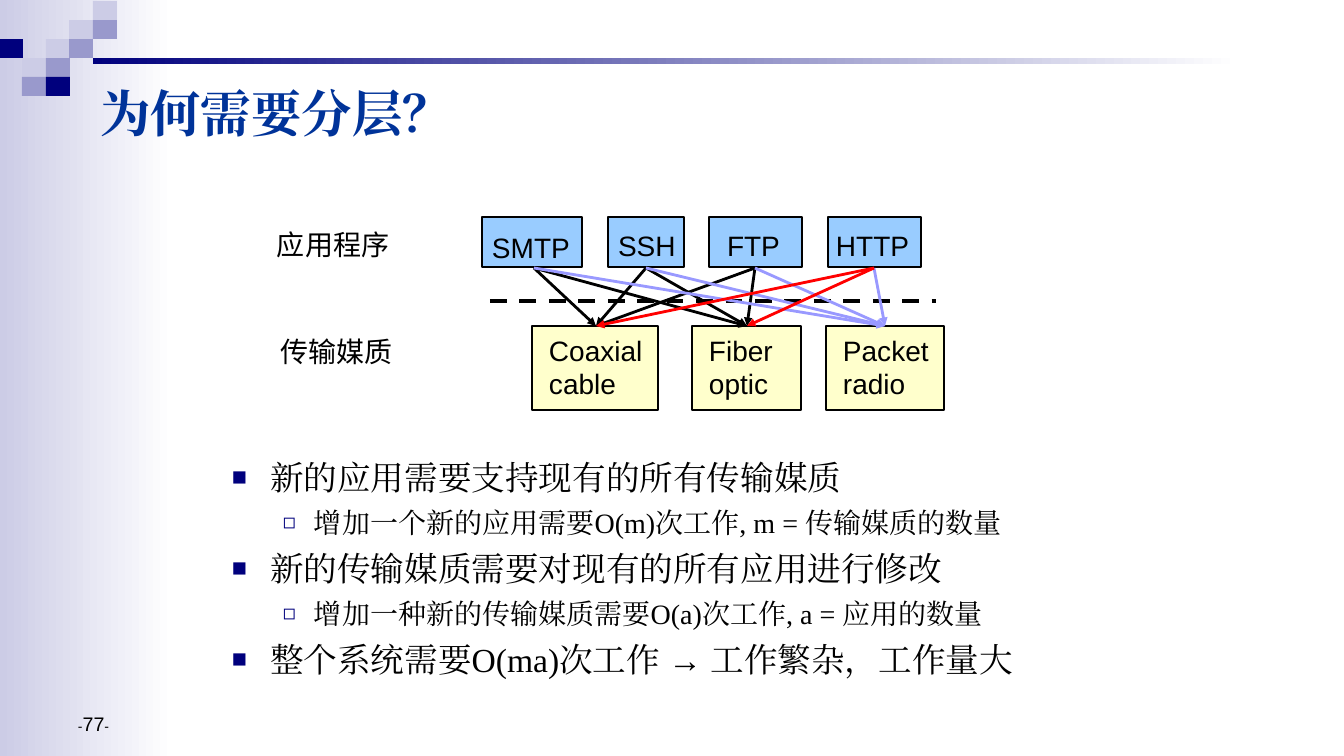
import pptx
import pptx.dml.color
import pptx.enum.dml
import pptx.enum.lang
import pptx.enum.shapes
import pptx.enum.text
import pptx.oxml.ns
import pptx.oxml.xmlchemy
import pptx.util
from lxml import etree

RGBColor = pptx.dml.color.RGBColor
BLACK = RGBColor(0x00, 0x00, 0x00)
WHITE = RGBColor(0xFF, 0xFF, 0xFF)
NAVY = RGBColor(0x00, 0x00, 0x7D)
MID = RGBColor(0x99, 0x99, 0xCC)
PALE = RGBColor(0xCC, 0xCC, 0xE6)
TITLE_BLUE = RGBColor(0x00, 0x33, 0x99)
APP_BLUE = RGBColor(0x99, 0xCC, 0xFF)
MEDIUM_YELLOW = RGBColor(0xFF, 0xFF, 0xCC)
VIOLET = RGBColor(0x99, 0x99, 0xFF)
RED = RGBColor(0xFF, 0x00, 0x00)

SANS, SERIF, CJK = "Arial", "Times New Roman", "Noto Sans CJK SC"
PX_PER_INCH = 100.8


def px(length):
    return pptx.util.Emu(round(length * 914400 / PX_PER_INCH))


def add_xml(parent, tag, **attributes):
    return etree.SubElement(parent, pptx.oxml.ns.qn(tag), **attributes)


class LayerSlide:
    def __init__(self, slide):
        self.slide = slide
        self.shapes = slide.shapes

    def style(self, paragraph, size, face=SANS, color=BLACK, bold=False):
        font = paragraph.font
        font.color.rgb = color
        font.name = face
        font.bold = bold
        font.language_id = pptx.enum.lang.MSO_LANGUAGE_ID.SIMPLIFIED_CHINESE
        if size:
            font.size = pptx.util.Pt(size)
        properties = paragraph._p.pPr.find(pptx.oxml.ns.qn("a:defRPr"))
        add_xml(properties, "a:ea", typeface=face)

    def frame(self, shape, insets, anchor, wrap=True):
        """Set the insets (left, top, right, bottom), anchor and wrapping."""
        frame = shape.text_frame
        frame.margin_left, frame.margin_top, frame.margin_right, frame.margin_bottom = map(px, insets)
        frame.vertical_anchor = anchor
        frame.word_wrap = wrap
        return frame

    def rect(self, left, top, width, height, fill, fade=False, outline=False):
        """Add a rectangle; with fade, its fill runs to white at the right."""
        box = self.shapes.add_shape(
            pptx.enum.shapes.MSO_SHAPE.RECTANGLE, px(left), px(top), px(width), px(height))
        box.shadow.inherit = False
        if fade:
            box.fill.gradient()
            box.fill.gradient_angle = 0
            for stop, color in zip(box.fill.gradient_stops, (fill, WHITE)):
                stop.color.rgb = color
        else:
            box.fill.solid()
            box.fill.fore_color.rgb = fill
        if outline:
            box.line.color.rgb = BLACK
            box.line.width = pptx.util.Pt(1.5)
        else:
            box.line.fill.background()
        return box

    def node(self, left, top, width, height, fill, lines, inset_left, inset_top):
        box = self.rect(left, top, width, height, fill, outline=True)
        frame = self.frame(box, (inset_left, inset_top, 0, 0), pptx.enum.text.MSO_ANCHOR.TOP)
        frame.text = "\n".join(lines)
        for paragraph in frame.paragraphs:
            paragraph.alignment = pptx.enum.text.PP_ALIGN.LEFT
            self.style(paragraph, 20)

    def line(self, start, end, color, width, arrow=False, dashed=False):
        line = self.shapes.add_connector(
            pptx.enum.shapes.MSO_CONNECTOR.STRAIGHT, *map(px, (*start, *end)))
        line.line.color.rgb = color
        line.line.width = pptx.util.Pt(width)
        if dashed:
            line.line.dash_style = pptx.enum.dml.MSO_LINE.DASH
        if arrow:
            add_xml(line.line._get_or_add_ln(), "a:tailEnd", type="triangle")
        add_xml(line._element.spPr, "a:effectLst")

    def text_box(self, left, top, width, height, insets, anchor, wrap=True):
        box = self.shapes.add_textbox(px(left), px(top), px(width), px(height))
        return self.frame(box, insets, anchor, wrap)

    def label(self, left, top, text):
        frame = self.text_box(left, top, 133, 44, (10, 0, 10, 0),
                              pptx.enum.text.MSO_ANCHOR.TOP, wrap=False)
        frame.text = text
        self.style(frame.paragraphs[0], 20, CJK)

    def title(self, text):
        title = self.shapes.title
        title.left, title.top, title.width, title.height = map(px, (90, 76, 920, 72))
        frame = self.frame(title, (10, 5, 10, 5), pptx.enum.text.MSO_ANCHOR.MIDDLE)
        frame.text = text
        frame.paragraphs[0].alignment = pptx.enum.text.PP_ALIGN.LEFT
        self.style(frame.paragraphs[0], 36, SERIF, TITLE_BLUE, bold=True)
        # Bring the title in front of the decoration.
        title._element.getparent().append(title._element)

    def bullets(self, left, top, width, height, points):
        frame = self.text_box(left, top, width, height, (10, 7, 10, 5),
                              pptx.enum.text.MSO_ANCHOR.TOP)
        levels = (("■", 38, 38, 24), ("◻", 82, 31, 20))
        for index, (level, text) in enumerate(points):
            paragraph = frame.paragraphs[0] if index == 0 else frame.add_paragraph()
            paragraph.text = text
            paragraph.level = level
            paragraph.space_before = pptx.util.Pt(6 if index else 0)
            mark, indent, hanging, size = levels[level]
            properties = paragraph._p.get_or_add_pPr()
            properties.set("marL", str(px(indent)))
            properties.set("indent", str(-px(hanging)))
            add_xml(add_xml(properties, "a:buClr"), "a:srgbClr", val=str(NAVY))
            add_xml(properties, "a:buSzPct", val="75000")
            add_xml(properties, "a:buFont", typeface=SANS)
            add_xml(properties, "a:buChar", char=mark)
            self.style(paragraph, size, SERIF)

    def page_number(self, number):
        frame = self.text_box(68, 688, 313, 52, (10, 5, 10, 5),
                              pptx.enum.text.MSO_ANCHOR.BOTTOM)
        paragraph = frame.paragraphs[0]
        for text, size in (("-", 10), (number, 14), ("-", 10)):
            run = paragraph.add_run()
            run.text = text
            run.font.size = pptx.util.Pt(size)
        self.style(paragraph, None)

    def decoration(self):
        self.rect(0, 0, 174, 756, PALE, fade=True)
        mosaic = {
            PALE: ((4, 0), (3, 1), (2, 2), (1, 3)),
            MID: ((4, 1), (3, 2), (2, 3), (1, 4)),
            NAVY: ((0, 2), (2, 4)),
        }
        for color, cells in mosaic.items():
            for column, row in cells:
                self.rect(column * 47 // 2 - 1, row * 96 // 5 + 1, 24, 19, color)
        self.rect(93, 58, 1146, 6, NAVY, fade=True)


def main():
    deck = pptx.Presentation()
    deck.slide_width, deck.slide_height = px(1344), px(756)
    page = LayerSlide(deck.slides.add_slide(deck.slide_layouts[5]))
    page.decoration()
    page.title("为何需要分层？")

    # name, left, width, text inset left and top, arrow start
    applications = (
        ("SMTP", 482, 100, 10, 14, 534),
        ("SSH", 608, 76, 10, 12, 646),
        ("FTP", 709, 93, 18, 12, 755),
        ("HTTP", 828, 93, 8, 12, 874),
    )
    # lines, left, width, arrow end
    media = (
        (("Coaxial", "cable"), 532, 126, 596),
        (("Fiber", "optic"), 692, 109, 747),
        (("Packet", "radio"), 826, 118, 885),
    )
    for name, left, width, inset_left, inset_top, _ in applications:
        page.node(left, 217, width, 50, APP_BLUE, (name,), inset_left, inset_top)
    for lines, left, width, _ in media:
        page.node(left, 326, width, 84, MEDIUM_YELLOW, lines, 17, 7)
    page.line((490, 301), (936, 301), BLACK, 3, dashed=True)
    page.label(267, 227, "应用程序")
    page.label(270, 335, "传输媒质")

    starts = [application[-1] for application in applications]
    coaxial, fiber, radio = (medium[-1] for medium in media)
    links = (
        (BLACK, starts[:-1], (coaxial, fiber)),
        (VIOLET, starts, (radio,)),
        (RED, starts[-1:], (coaxial, fiber)),
    )
    for color, sources, targets in links:
        for source in sources:
            for target in targets:
                page.line((source, 268), (target, 326), color, 2, arrow=True)

    page.bullets(222, 450, 907, 286, (
        (0, "新的应用需要支持现有的所有传输媒质"),
        (1, "增加一个新的应用需要O(m)次工作, m = 传输媒质的数量"),
        (0, "新的传输媒质需要对现有的所有应用进行修改"),
        (1, "增加一种新的传输媒质需要O(a)次工作, a = 应用的数量"),
        (0, "整个系统需要O(ma)次工作 → 工作繁杂，工作量大"),
    ))
    page.page_number("77")
    deck.save("out.pptx")


if __name__ == "__main__":
    main()
